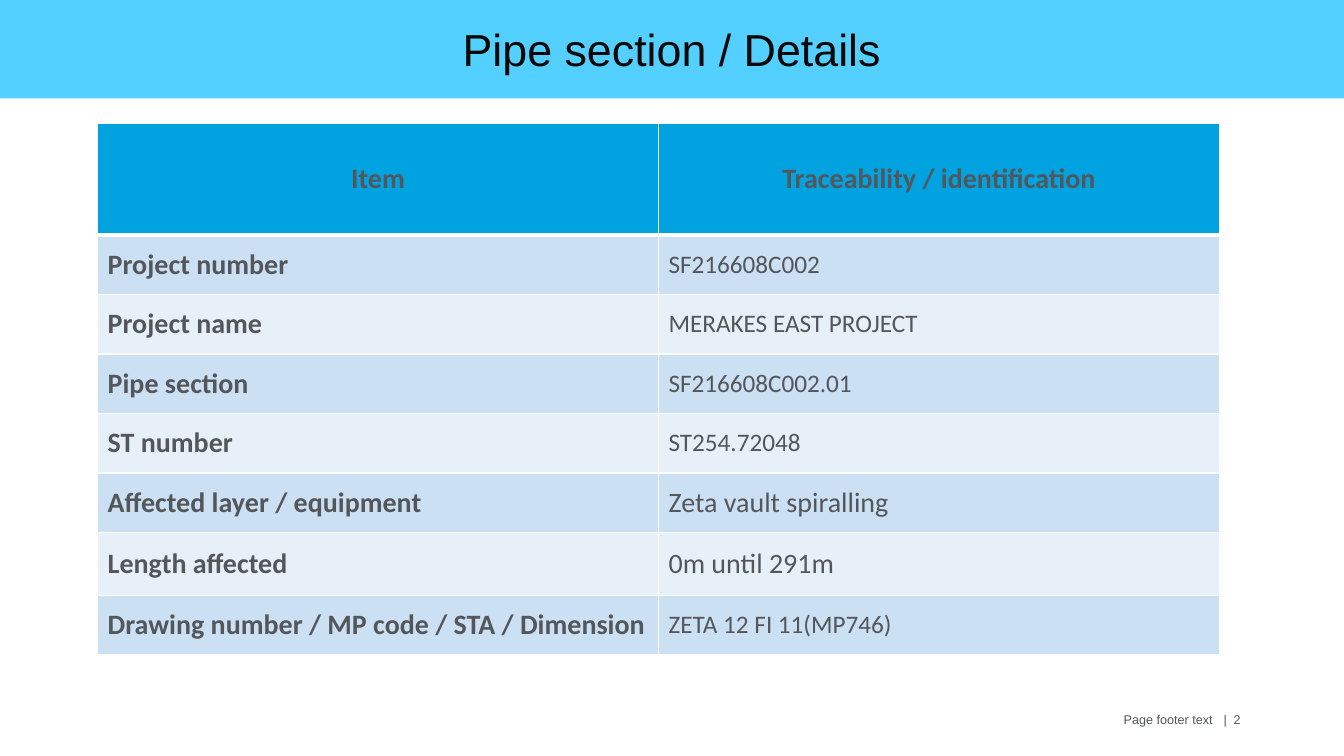
from lxml.etree import SubElement as Sub
from pptx import Presentation
from pptx.dml.color import RGBColor as Rgb
from pptx.enum.text import MSO_ANCHOR as Anchor, MSO_AUTO_SIZE as Fit, PP_ALIGN as Align
from pptx.oxml.ns import qn
from pptx.util import Cm, Pt

HUES = {"band": "53D0FF", "title": "080808", "text": "53565A", "head": "00A3E0",
        "odd": "CCE0F3", "even": "E7F0F9", "rule": "FFFFFF"}

HEAD = ("Item", "Traceability / identification")
# Label, value, value size in points
ROWS = [
    ("Project number", "SF216608C002", 18),
    ("Project name", "MERAKES EAST PROJECT", 18),
    ("Pipe section", "SF216608C002.01", 18),
    ("ST number", "ST254.72048", 18),
    ("Affected layer / equipment", "Zeta vault spiralling", 20),
    ("Length affected", "0m until 291m", 20),
    ("Drawing number / MP code / STA / Dimension", "ZETA 12 FI 11(MP746)", 18),
]


def hue(name):
    return Rgb.from_string(HUES[name])


def style(para, size, face, tint, bold=False, align=Align.LEFT):
    para.alignment = align
    font = para.font
    font.size, font.name, font.bold = Pt(size), face, bold
    font.color.rgb = hue(tint)


# Title band
def add_title(slide, text, left, top, width, height):
    band = slide.shapes.title
    band.left, band.top, band.width, band.height = left, top, width, height
    band.fill.solid()
    band.fill.fore_color.rgb = hue("band")
    frame = band.text_frame
    frame.text = text
    frame.auto_size = Fit.NONE
    frame.vertical_anchor = Anchor.MIDDLE
    style(frame.paragraphs[0], 32, "Arial", "title", align=Align.CENTER)


# Cell borders come before the fill in the cell properties
def add_rules(cell, top, base):
    props = cell._tc.get_or_add_tcPr()
    for side, wide in (("L", 1), ("R", 1), ("T", top), ("B", base)):
        line = Sub(props, qn(f"a:ln{side}"), w=str(Pt(wide)))
        Sub(Sub(line, qn("a:solidFill")), qn("a:srgbClr"), val=HUES["rule"])


def fill_cell(cell, text, tint, size, bold, align=Align.LEFT, top=1, base=1):
    cell.text = text
    cell.vertical_anchor = Anchor.MIDDLE
    add_rules(cell, top, base)
    cell.fill.solid()
    cell.fill.fore_color.rgb = hue(tint)
    style(cell.text_frame.paragraphs[0], size, "Calibri", "text", bold, align)


# Details table
def add_details(slide, left, top, width, height):
    grid = slide.shapes.add_table(len(ROWS) + 1, 2, left, top, width, height).table
    high = [Cm(2.82)] + [Cm(1.5)] * len(ROWS)
    high[6] = Cm(1.58)
    for row, size in zip(grid.rows, high):
        row.height = size
    for col, text in enumerate(HEAD):
        fill_cell(grid.cell(0, col), text, "head", 20, True, Align.CENTER, base=3)
    for row, (label, value, size) in enumerate(ROWS, 1):
        tint = "odd" if row % 2 else "even"
        top = 3 if row == 1 else 1
        fill_cell(grid.cell(row, 0), label, tint, 20, True, top=top)
        fill_cell(grid.cell(row, 1), value, tint, size, False, top=top)


# Footer: text, bar and page number on tab stops
def add_footer(slide, left, top, width, height):
    frame = slide.shapes.add_textbox(left, top, width, height).text_frame
    frame.word_wrap = True
    frame.margin_left = width - Cm(3.22)
    frame.margin_right = 0
    frame.text = "Page footer text\t|\t2"
    para = frame.paragraphs[0]
    tabs = Sub(para._p.get_or_add_pPr(), qn("a:tabLst"))
    for stop in (Cm(2.52), Cm(2.77)):
        Sub(tabs, qn("a:tab"), pos=str(stop), algn="l")
    style(para, 9, "Arial", "text")


def main():
    deck = Presentation()
    deck.slide_width, deck.slide_height = Cm(33.87), Cm(19.05)
    slide = deck.slides.add_slide(deck.slide_layouts[5])
    add_footer(slide, Cm(23.16), Cm(17.81), Cm(8.38), Cm(1.02))
    add_details(slide, Cm(2.46), Cm(3.1), Cm(28.27), Cm(13.4))
    add_title(slide, "Pipe section / Details", 0, Cm(-0.03), deck.slide_width, Cm(2.51))
    deck.save("out.pptx")


if __name__ == "__main__":
    main()
